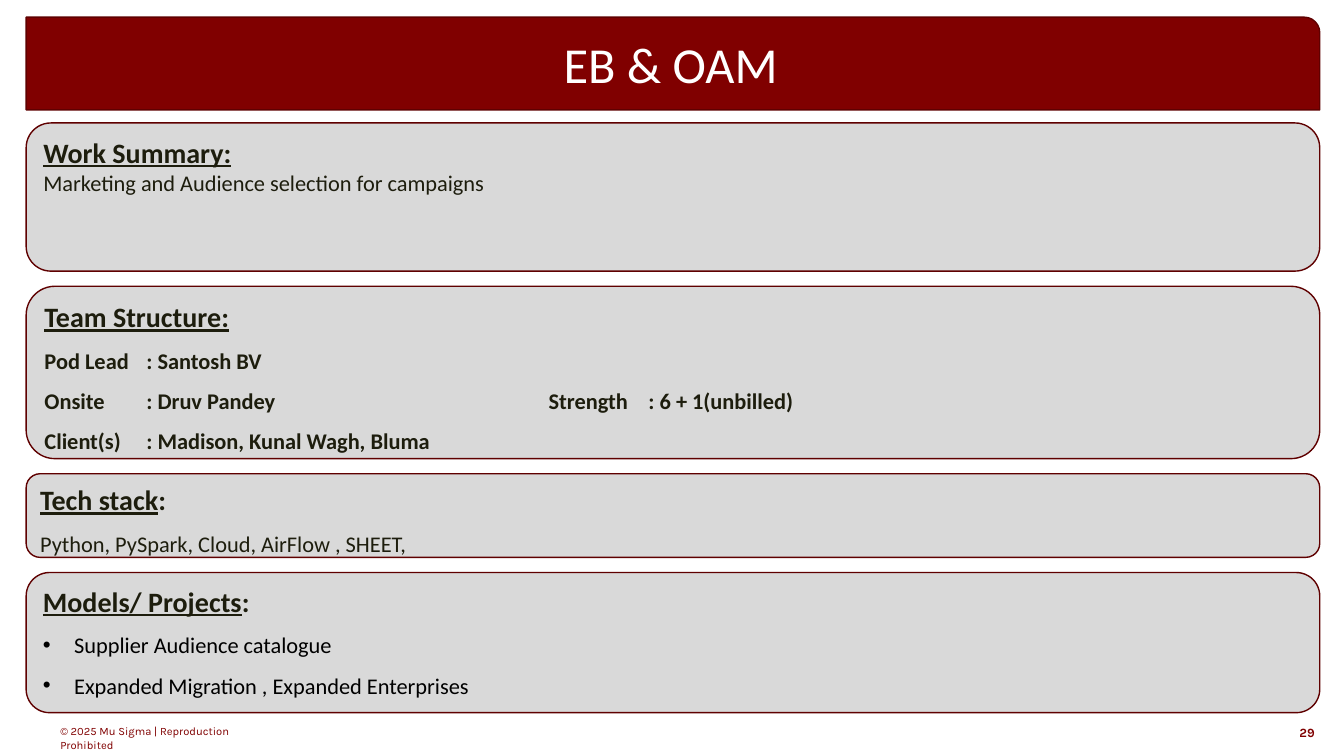
from lxml import etree
from pptx import Presentation
from pptx import util as u
from pptx.dml.color import RGBColor
from pptx.enum import shapes, text
from pptx.oxml.ns import qn

MAROON, EDGE, GREY, INK, BLACK = "800000", "5F0000", "D9D9D9", "1D1D0D", "000000"
LEFT, WIDTH, GAP = 0.26, 12.83, 0.15
TEAM_TABS = (1.01, 5, 5.99)


def rgb(value):
    return RGBColor.from_string(value)


def style(r, size, color, bold=False, underline=False, font="Calibri"):
    r.font.name, r.font.size = font, u.Pt(size)
    r.font.color.rgb = rgb(color)
    r.font.bold, r.font.underline = bold, underline


def add_bullet(p):
    pPr = p._p.get_or_add_pPr()
    pPr.set("marL", str(u.Inches(0.31)))
    pPr.set("indent", str(-u.Inches(0.31)))
    etree.SubElement(pPr, qn("a:buFont"), typeface="Arial")
    etree.SubElement(pPr, qn("a:buChar"), char="•")


def add_tabs(p, stops):
    tabs = etree.SubElement(p._p.get_or_add_pPr(), qn("a:tabLst"))
    for stop in stops:
        etree.SubElement(tabs, qn("a:tab"), pos=str(u.Inches(stop)), algn="l")


def add_box(s, kind, top, height, fill):
    sp = s.shapes.add_shape(kind, u.Inches(LEFT), u.Inches(top),
                            u.Inches(WIDTH), u.Inches(height))
    sp.shadow.inherit = False
    sp.fill.solid()
    sp.fill.fore_color.rgb = rgb(fill)
    sp.line.color.rgb = rgb(EDGE)
    sp.line.width = u.Pt(1)
    sp.text_frame.word_wrap = True
    return sp


def add_title(s, title):
    sp = add_box(s, shapes.MSO_SHAPE.ROUND_1_RECTANGLE, 0.17, 0.92, MAROON)
    tf = sp.text_frame
    tf.vertical_anchor = text.MSO_ANCHOR.MIDDLE
    tf.text = title
    p = tf.paragraphs[0]
    p.alignment = text.PP_ALIGN.CENTER
    style(p.runs[0], 36, "FFFFFF")


def add_panel(s, top, height, heading, tail, lines, color=INK, bold=False,
              spacing=1.5, bullets=False, tabs=()):
    sp = add_box(s, shapes.MSO_SHAPE.ROUNDED_RECTANGLE, top, height, GREY)
    tf = sp.text_frame
    tf.vertical_anchor = text.MSO_ANCHOR.TOP
    # Heading, with an optional part that is not underlined
    tf.text = heading
    p = tf.paragraphs[0]
    p.alignment = text.PP_ALIGN.LEFT
    style(p.runs[0], 20, INK, bold=True, underline=True)
    if tail:
        r = p.add_run()
        r.text = tail
        style(r, 20, INK, bold=True)
    # Body lines
    for line in lines:
        p = tf.add_paragraph()
        p.text = line
        p.alignment = text.PP_ALIGN.LEFT
        p.line_spacing = spacing
        if bullets:
            add_bullet(p)
        if tabs:
            add_tabs(p, tabs)
        style(p.runs[0], 16, color, bold)


def add_label(s, left, top, width, height, label, size, bold=False,
              align=text.PP_ALIGN.LEFT, inset=None):
    sp = s.shapes.add_textbox(u.Inches(left), u.Inches(top),
                              u.Inches(width), u.Inches(height))
    tf = sp.text_frame
    tf.word_wrap = True
    if inset is not None:
        tf.margin_left = tf.margin_right = u.Inches(inset)
        tf.margin_top = tf.margin_bottom = u.Inches(inset)
    tf.text = label
    p = tf.paragraphs[0]
    p.alignment = align
    style(p.runs[0], size, MAROON, bold, font="Karla")


def main():
    prs = Presentation()
    prs.slide_width, prs.slide_height = u.Inches(13.33), u.Inches(7.5)
    s = prs.slides.add_slide(prs.slide_layouts[6])

    # Footer
    add_label(s, 0.5, 7.14, 2.34, 0.24,
              "© 2025 Mu Sigma | Reproduction Prohibited", 8)
    add_label(s, 12.74, 7.19, 0.3, 0.15, "29", 9, bold=True,
              align=text.PP_ALIGN.RIGHT, inset=0)

    add_title(s, "EB & OAM")

    # Panels stacked with an equal gap
    panels = [
        (1.47, "Work Summary:", "",
         ["Marketing and Audience selection for campaigns"],
         dict(spacing=1.0)),
        (1.71, "Team Structure:", "",
         ["Pod Lead\t: Santosh BV",
          "Onsite\t: Druv Pandey\tStrength\t: 6 + 1(unbilled)",
          "Client(s)\t: Madison, Kunal Wagh, Bluma"],
         dict(bold=True, tabs=TEAM_TABS)),
        (0.83, "Tech stack", ":",
         ["Python, PySpark, Cloud, AirFlow , SHEET,"], {}),
        (1.39, "Models/ Projects", ":",
         ["Supplier Audience catalogue",
          "Expanded Migration , Expanded Enterprises"],
         dict(color=BLACK, bullets=True)),
    ]
    top = 1.22
    for height, heading, tail, lines, options in panels:
        add_panel(s, top, height, heading, tail, lines, **options)
        top += height + GAP

    prs.save("out.pptx")


if __name__ == "__main__":
    main()
